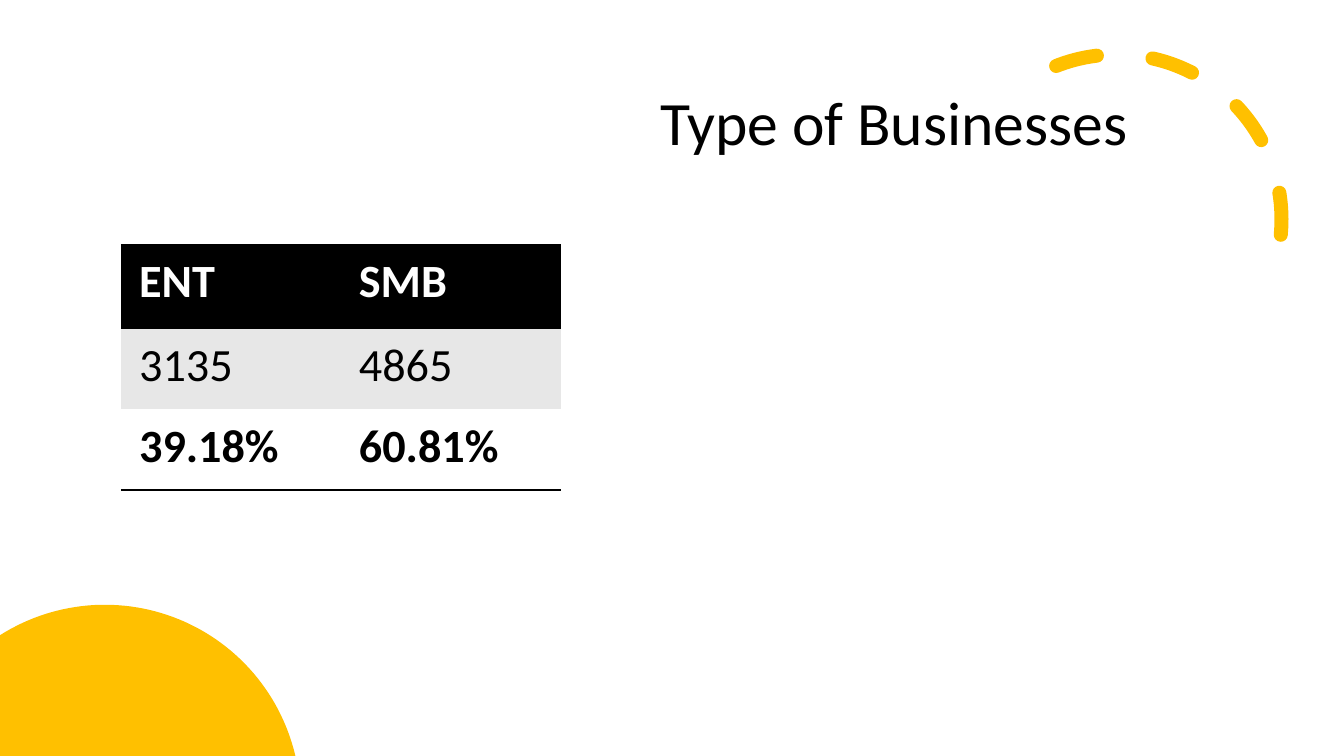
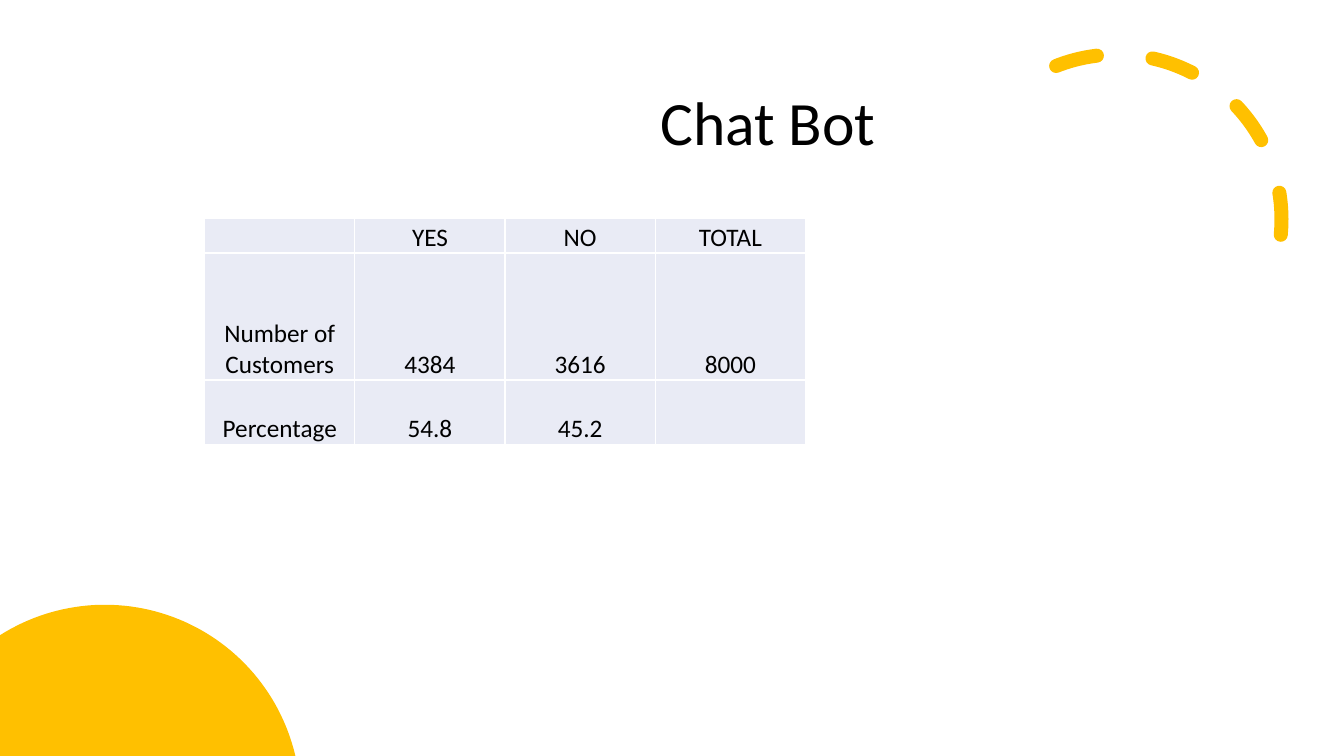
from math import asin, cos, pi, sin, sqrt

from lxml.etree import SubElement as Sub
from pptx import Presentation
from pptx.dml.color import RGBColor
from pptx.enum.dml import MSO_LINE as Dash
from pptx.enum.shapes import MSO_SHAPE as Shape
from pptx.enum.text import MSO_ANCHOR as Anchor, PP_ALIGN as Align
from pptx.oxml.ns import qn
from pptx.util import Inches, Pt

WIDTH, HEIGHT = 13.33, 7.5
FONT = "Calibri"
GOLD = RGBColor(0xFF, 0xC0, 0x00)
BLACK = RGBColor(0x00, 0x00, 0x00)
WHITE = RGBColor(0xFF, 0xFF, 0xFF)
GREY = RGBColor(0xE7, 0xE7, 0xE7)
PALE = RGBColor(0xE9, 0xEB, 0xF5)
NO_STYLE = "{2D5ABB26-0587-4C30-8999-92F81FD0307C}"

# Each row style is fill, text colour, bold, and borders as {side: (colour, points)}
RULE = (BLACK, 2)
GRID = {side: (WHITE, 1) for side in "LRTB"}
PLAIN = (PALE, BLACK, False, GRID)

SLIDES = [
    {
        "title": "Type of Businesses",
        "rows": [("ENT", "SMB"), ("3135", "4865"), ("39.18%", "60.81%")],
        "styles": [
            (BLACK, WHITE, True, {"T": RULE}),
            (GREY, BLACK, False, {}),
            (WHITE, BLACK, True, {"B": RULE}),
        ],
        "at": (1.2, 2.43),
        "col": 2.18,
        "heights": (0.83, 0.8, 0.8),
        "size": 33,
        "pads": (0.18, 0.09, 0.18, 0.09),
        "align": Align.LEFT,
        "anchor": Anchor.TOP,
    },
    {
        "title": "Chat Bot",
        "rows": [
            ("", "YES", "NO", "TOTAL"),
            ("Number of Customers", "4384", "3616", "8000"),
            ("Percentage", "54.8", "45.2", ""),
        ],
        "styles": [PLAIN] * 3,
        "at": (2.03, 2.17),
        "col": 1.49,
        "heights": (0.34, 1.26, 0.64),
        "size": 18,
        "pads": (0.01, 0.01, 0.01, 0),
        "align": Align.CENTER,
        "anchor": Anchor.BOTTOM,
    },
]


def add_run(para, text, size, color, bold=False):
    run = para.add_run()
    run.text = text
    font = run.font
    font.name, font.size, font.bold = FONT, Pt(size), bold
    font.color.rgb = color


def add_arc(slide):
    arc = slide.shapes.add_shape(
        Shape.ARC, Inches(9.44), Inches(0.54), Inches(3.27), Inches(3.27))
    arc.adjustments[0], arc.adjustments[1] = 144.42, 0
    arc.rotation = 66.1
    arc._element.spPr.find(qn("a:xfrm")).set("flipH", "1")
    arc.shadow.inherit = False
    arc.fill.background()
    arc.line.color.rgb = GOLD
    arc.line.width = Pt(10)
    arc.line.dash_style = Dash.DASH
    arc.line._ln.set("cap", "rnd")


def add_disc(slide, x=1.04, y=7.94, radius=1.94, steps=60):
    """Draw the part of a disc that lies inside the lower left corner."""
    start = pi + asin(sqrt(radius ** 2 - x ** 2) / radius)
    end = 2 * pi - asin((y - HEIGHT) / radius)
    angles = [start + (end - start) * i / steps for i in range(steps + 1)]
    rim = [(Inches(x + radius * cos(a)), Inches(y + radius * sin(a)))
           for a in angles]
    path = slide.shapes.build_freeform(0, Inches(HEIGHT))
    path.add_line_segments(rim, close=True)
    disc = path.convert_to_shape()
    disc.shadow.inherit = False
    disc.fill.solid()
    disc.fill.fore_color.rgb = GOLD
    disc.line.fill.background()


def add_title(slide, text):
    frame = slide.shapes.add_textbox(
        Inches(6.45), Inches(0.52), Inches(5.97), Inches(1.45)).text_frame
    frame.word_wrap = True
    frame.vertical_anchor = Anchor.MIDDLE
    para = frame.paragraphs[0]
    para.line_spacing = 0.9
    add_run(para, text, 44, BLACK)


def add_border(cell, side, color, width):
    line = Sub(cell._tc.get_or_add_tcPr(), qn(f"a:ln{side}"), w=str(Pt(width)))
    Sub(Sub(line, qn("a:solidFill")), qn("a:srgbClr"), val=str(color))


def fill_cell(cell, text, style, data):
    fill, color, bold, borders = style
    for side, border in borders.items():
        add_border(cell, side, *border)
    cell.fill.solid()
    cell.fill.fore_color.rgb = fill
    (cell.margin_left, cell.margin_top,
     cell.margin_right, cell.margin_bottom) = map(Inches, data["pads"])
    cell.vertical_anchor = data["anchor"]
    para = cell.text_frame.paragraphs[0]
    para.alignment = data["align"]
    if text:
        add_run(para, text, data["size"], color, bold)


def add_table(slide, data):
    rows, heights = data["rows"], data["heights"]
    count = len(rows[0])
    left, top = data["at"]
    table = slide.shapes.add_table(
        len(rows), count, Inches(left), Inches(top),
        Inches(data["col"] * count), Inches(sum(heights))).table
    table.first_row = table.horz_banding = False
    table._tbl.tblPr.find(qn("a:tableStyleId")).text = NO_STYLE
    for col in table.columns:
        col.width = Inches(data["col"])
    for r, (texts, style) in enumerate(zip(rows, data["styles"])):
        table.rows[r].height = Inches(heights[r])
        for c, text in enumerate(texts):
            fill_cell(table.cell(r, c), text, style, data)


def main():
    deck = Presentation()
    deck.slide_width, deck.slide_height = Inches(WIDTH), Inches(HEIGHT)
    for data in SLIDES:
        slide = deck.slides.add_slide(deck.slide_layouts[6])
        add_arc(slide)
        add_title(slide, data["title"])
        add_disc(slide)
        add_table(slide, data)
    deck.save("out.pptx")


if __name__ == "__main__":
    main()
